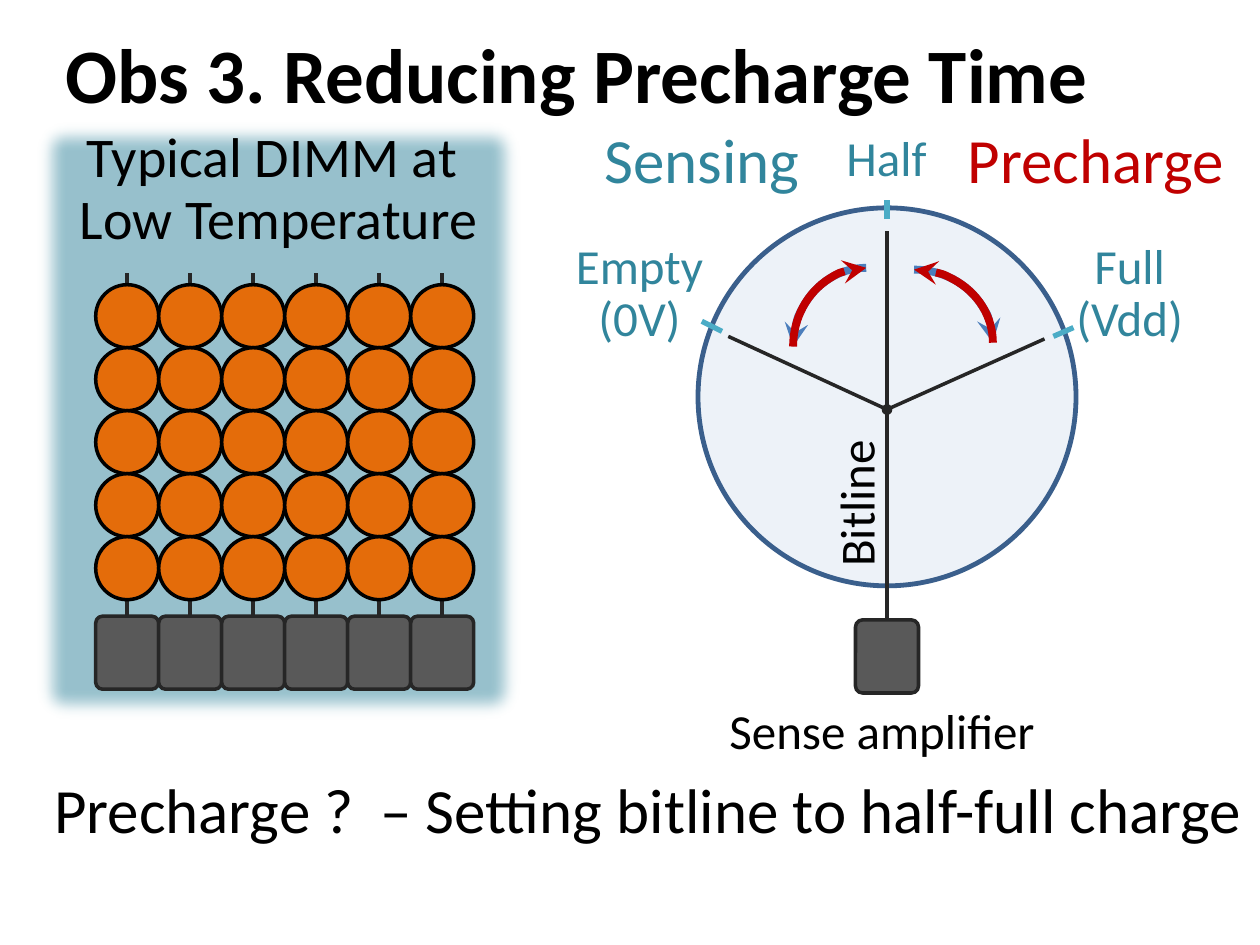
from lxml.etree import SubElement
from pptx import Presentation
from pptx.dml.color import RGBColor
from pptx.enum.shapes import MSO_CONNECTOR, MSO_SHAPE
from pptx.enum.text import MSO_ANCHOR, PP_ALIGN
from pptx.oxml.ns import qn
from pptx.util import Inches, Pt

COLORS = {
    "black": "000000", "teal": "31859C", "red": "C00000", "blue": "4B7EBC",
    "rim": "3A5F8C", "dial": "B9CDE5", "tick": "4BACC6", "orange": "E46C0A",
    "gray": "595959", "dark": "262626",
}

TITLE = ("Obs 3. Reducing Precharge Time", (0.42, 0.17, 9.83, 0.83))
LABELS = [
    (["Empty (0V)"], (4.33, 2.09, 1.49, 0.49), 28, "teal", 30),
    (["Full (Vdd)"], (8.22, 2.09, 1.49, 0.49), 28, "teal", 30),
    (["Half"], (6.29, 1, 1.49, 0.49), 28, "teal", None),
    (["Sense amplifier"], (5.21, 5.34, 3.58, 0.91), 28, "black", None),
    (["Sensing"], (4.51, 1.01, 2.12, 0.49), 36, "teal", None),
    (["Precharge"], (7.47, 1.01, 2.46, 0.49), 36, "red", None),
    (["Precharge ?"], (0.33, 5.83, 2.58, 1.17), 36, "black", None),
    (["Typical DIMM at ", "Low Temperature"], (0.17, 0.92, 4.08, 1.16), 32, "black", 35),
]
DEFINITION = ("– Setting bitline to half-full charge", (2.92, 5.83, 7.08, 1.17))
TICKS = [(5.57, 2.55, 5.73, 2.63), (8.36, 2.67, 8.52, 2.6), (7.04, 1.74, 7.04, 1.59)]
LEFT_ARC, RIGHT_ARC = (6.25, 2.17, 1.25, 1.16), (6.63, 2.14, 1.25, 1.16)
ARCS = [
    (LEFT_ARC, 270, "blue", "headEnd"), (RIGHT_ARC, 0, "blue", "tailEnd"),
    (LEFT_ARC, 270, "red", "tailEnd"), (RIGHT_ARC, 0, "red", "headEnd"),
]
CENTER = (7.04, 3.25)
NEEDLE_TIPS = [(8.29, 2.69), (5.78, 2.67)]
ROWS, COLS, CELL = 5, 6, 0.5
GRID_LEFT, GRID_TOP = 0.76, 2.26
AMP_TOP, AMP_HEIGHT = 4.89, 0.58

prs = Presentation()
prs.slide_width, prs.slide_height = Inches(10), Inches(7.5)
s = prs.slides.add_slide(prs.slide_layouts[6])


def rgb(name):
    return RGBColor.from_string(COLORS[name])


def add_shape(kind, box, fill, line, width, opacity=None):
    sp = s.shapes.add_shape(kind, *map(Inches, box))
    sp.shadow.inherit = False
    if fill:
        sp.fill.solid()
        sp.fill.fore_color.rgb = rgb(fill)
    else:
        sp.fill.background()
    if opacity:
        color = sp.fill._xPr.find(".//" + qn("a:srgbClr"))
        SubElement(color, qn("a:alpha"), val=str(opacity * 1000))
    sp.line.color.rgb = rgb(line)
    sp.line.width = Pt(width)
    return sp


def add_arrowhead(sp, end, kind):
    SubElement(sp.line._get_or_add_ln(), qn("a:" + end), type=kind)


def add_line(x1, y1, x2, y2, color="dark", width=2):
    c = s.shapes.add_connector(MSO_CONNECTOR.STRAIGHT, *map(Inches, (x1, y1, x2, y2)))
    c.line.color.rgb = rgb(color)
    c.line.width = Pt(width)
    SubElement(c._element.spPr, qn("a:effectLst"))
    return c


def add_text(lines, box, size, color="black", spacing=None, align=PP_ALIGN.CENTER,
             anchor=MSO_ANCHOR.MIDDLE, bold=False):
    tb = s.shapes.add_textbox(*map(Inches, box))
    tf = tb.text_frame
    tf.word_wrap = True
    tf.vertical_anchor = anchor
    tf.text = "\n".join(lines)
    for p in tf.paragraphs:
        p.alignment = align
        p.line_spacing = spacing
        p.font.name, p.font.size, p.font.bold = "Calibri", Pt(size), bold
        p.font.color.rgb = rgb(color)
    return tb


def add_amplifier(x, y, line_end):
    amp = add_shape(MSO_SHAPE.ROUNDED_RECTANGLE, (x, y, CELL, AMP_HEIGHT), "gray", "dark", 2)
    amp.adjustments[0] = 0.11
    mid = x + CELL / 2
    add_line(mid, y, mid, line_end).begin_connect(amp, 0)


add_shape(MSO_SHAPE.OVAL, (5.54, 1.65, 3, 3), "dial", "rim", 2.75, 25)
for tick in TICKS:
    add_line(*tick, "tick", 3)
for box, rotation, color, end in ARCS:
    arc = add_shape(MSO_SHAPE.ARC, box, None, color, 4.5)
    arc.rotation = rotation
    add_arrowhead(arc, end, "stealth")

panel = add_shape(MSO_SHAPE.RECTANGLE, (0.25, 0.92, 3.92, 4.83), "teal", "teal", 2, 50)
effects = panel._element.spPr.find(qn("a:effectLst"))
SubElement(effects, qn("a:softEdge"), rad=str(Inches(0.14)))

for col in range(COLS):
    add_amplifier(GRID_LEFT + col * CELL, AMP_TOP, 2.17)
for row in range(ROWS):
    for col in range(COLS):
        box = (GRID_LEFT + col * CELL, GRID_TOP + row * CELL, CELL, CELL)
        add_shape(MSO_SHAPE.OVAL, box, "orange", "black", 2)

add_amplifier(CENTER[0] - CELL / 2, 4.92, 1.83)
for tip in NEEDLE_TIPS:
    add_arrowhead(add_line(*tip, *CENTER), "tailEnd", "oval")

title, title_box = TITLE
add_text([title], title_box, 44, spacing=0.9, align=PP_ALIGN.LEFT,
         anchor=MSO_ANCHOR.BOTTOM, bold=True)
for lines, box, size, color, spacing in LABELS:
    add_text(lines, box, size, color, spacing and Pt(spacing))
add_text(["Bitline"], (6.04, 3.75, 1.49, 0.49), 28).rotation = 270
definition, definition_box = DEFINITION
add_text([definition], definition_box, 36, align=PP_ALIGN.LEFT)

prs.save("out.pptx")
